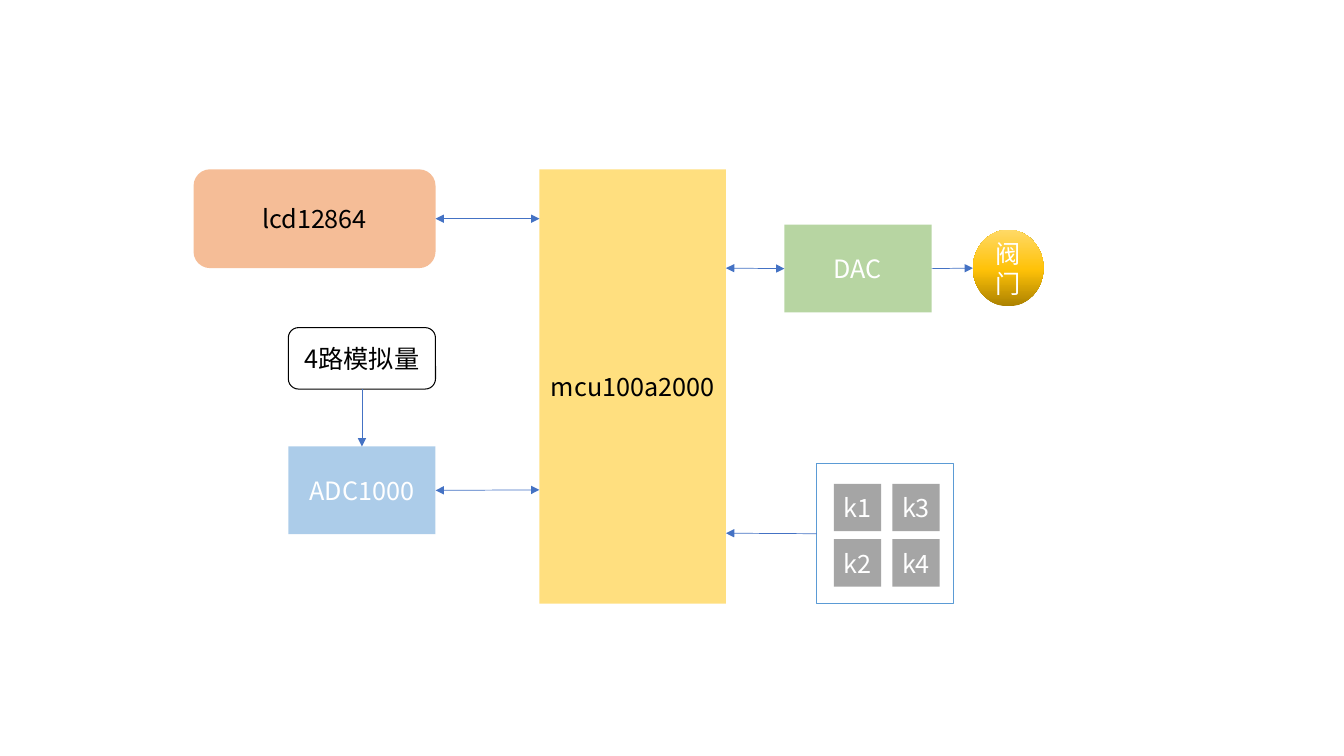
import copy

import pptx
import pptx.dml.color
import pptx.enum.shapes
import pptx.enum.text
import pptx.oxml.ns
import pptx.oxml.xmlchemy
import pptx.util

Inches = pptx.util.Inches
Pt = pptx.util.Pt
qn = pptx.oxml.ns.qn
SHAPES = pptx.enum.shapes.MSO_SHAPE
TOP, LEFT, BOTTOM, RIGHT = range(4)


def color(value):
    return pptx.dml.color.RGBColor.from_string(value)


def add_child(parent, tag, **attributes):
    child = pptx.oxml.xmlchemy.OxmlElement(tag)
    for name, value in attributes.items():
        child.set(name, value)
    parent.append(child)
    return child


def write_text(shape, text, font="Noto Sans CJK SC", size=18, ink="FFFFFF", inset=0):
    frame = shape.text_frame
    frame.word_wrap = True
    frame.vertical_anchor = pptx.enum.text.MSO_ANCHOR.MIDDLE
    frame.margin_left = frame.margin_right = Inches(inset)
    paragraph = frame.paragraphs[0]
    paragraph.alignment = pptx.enum.text.PP_ALIGN.CENTER
    run = paragraph.add_run()
    run.text = text
    run.font.name = font
    run.font.size = Pt(size)
    run.font.color.rgb = color(ink)
    add_child(run.font._element, "a:ea", typeface=font)


class Diagram:
    arrow_color = "4472C4"
    arrow_width = 0.5
    outline_width = 0.75

    def __init__(self, slide):
        self.slide = slide

    def block(self, kind, left, top, width, height, text="", fill=None,
              opacity=100, outline=None, **text_format):
        shape = self.slide.shapes.add_shape(
            kind, Inches(left), Inches(top), Inches(width), Inches(height))
        shape.shadow.inherit = False
        if fill:
            shape.fill.solid()
            shape.fill.fore_color.rgb = color(fill)
            if opacity < 100:
                rgb = shape._element.spPr.find(".//" + qn("a:srgbClr"))
                add_child(rgb, "a:alpha", val=str(opacity * 1000))
        else:
            shape.fill.background()
        if outline:
            shape.line.color.rgb = color(outline)
            shape.line.width = Pt(self.outline_width)
        else:
            shape.line.fill.background()
        if text:
            write_text(shape, text, **text_format)
        return shape

    def gradient(self, shape, stops, angle):
        shape.fill.gradient()
        shape.fill.gradient_angle = angle
        stop_list = shape._element.spPr.find(".//" + qn("a:gsLst"))
        while len(stop_list) < len(stops):
            stop_list.append(copy.deepcopy(stop_list[0]))
        for stop, (position, value) in zip(shape.fill.gradient_stops, stops):
            stop.position = position
            stop.color.rgb = color(value)

    def arrow(self, start, end, source, source_side, target=None,
              target_side=None, both=False):
        points = [Inches(value) for value in (*start, *end)]
        connector = self.slide.shapes.add_connector(
            pptx.enum.shapes.MSO_CONNECTOR.STRAIGHT, *points)
        connector.begin_connect(source, source_side)
        if target is not None:
            connector.end_connect(target, target_side)
        connector.line.color.rgb = color(self.arrow_color)
        connector.line.width = Pt(self.arrow_width)
        line = connector._element.spPr.find(qn("a:ln"))
        if both:
            add_child(line, "a:headEnd", type="triangle")
        add_child(line, "a:tailEnd", type="triangle")
        add_child(connector._element.spPr, "a:effectLst")


def main():
    presentation = pptx.Presentation()
    presentation.slide_width = Inches(13.33)
    presentation.slide_height = Inches(7.5)
    diagram = Diagram(presentation.slides.add_slide(presentation.slide_layouts[6]))

    # Controller
    diagram.block(SHAPES.RECTANGLE, 5.35, 1.68, 1.85, 4.31, "mcu100a2000",
                  fill="FFC000", opacity=50, ink="000000")

    # Display
    display = diagram.block(SHAPES.ROUNDED_RECTANGLE, 1.92, 1.68, 2.4, 0.98, "lcd12864",
                            fill="ED7D31", opacity=50, ink="000000")
    diagram.arrow((4.32, 2.17), (5.35, 2.17), display, RIGHT, both=True)

    # Keypad, numbered down each column
    keypad = diagram.block(SHAPES.RECTANGLE, 8.1, 4.6, 1.36, 1.39, outline="5B9BD5")
    for index in range(4):
        column, row = divmod(index, 2)
        diagram.block(SHAPES.RECTANGLE, 8.27 + 0.58 * column, 4.8 + 0.55 * row,
                      0.47, 0.47, f"k{index + 1}", fill="A5A5A5")
    diagram.arrow((8.1, 5.29), (7.2, 5.29), keypad, LEFT)

    # Analog inputs and their converter
    converter = diagram.block(SHAPES.RECTANGLE, 2.86, 4.43, 1.46, 0.87, "ADC1000",
                              fill="5B9BD5", opacity=50)
    inputs = diagram.block(SHAPES.ROUNDED_RECTANGLE, 2.86, 3.25, 1.46, 0.61, "4路模拟量",
                           outline="000000", ink="000000")
    diagram.arrow((4.32, 4.86), (5.35, 4.86), converter, RIGHT, both=True)
    diagram.arrow((3.59, 3.86), (3.59, 4.43), inputs, BOTTOM, converter, TOP)

    # Analog output and valve
    output = diagram.block(SHAPES.RECTANGLE, 7.78, 2.23, 1.46, 0.87, "DAC",
                           fill="70AD47", opacity=50)
    valve = diagram.block(SHAPES.OVAL, 9.65, 2.28, 0.7, 0.76, "阀门", inset=0.1)
    diagram.gradient(valve, [(0, "AB8100"), (0.48, "FFC208"), (1, "FFD966")], angle=90)
    diagram.arrow((7.78, 2.66), (7.2, 2.66), output, LEFT, both=True)
    diagram.arrow((9.24, 2.66), (9.65, 2.66), output, RIGHT)

    presentation.save("out.pptx")


if __name__ == "__main__":
    main()
